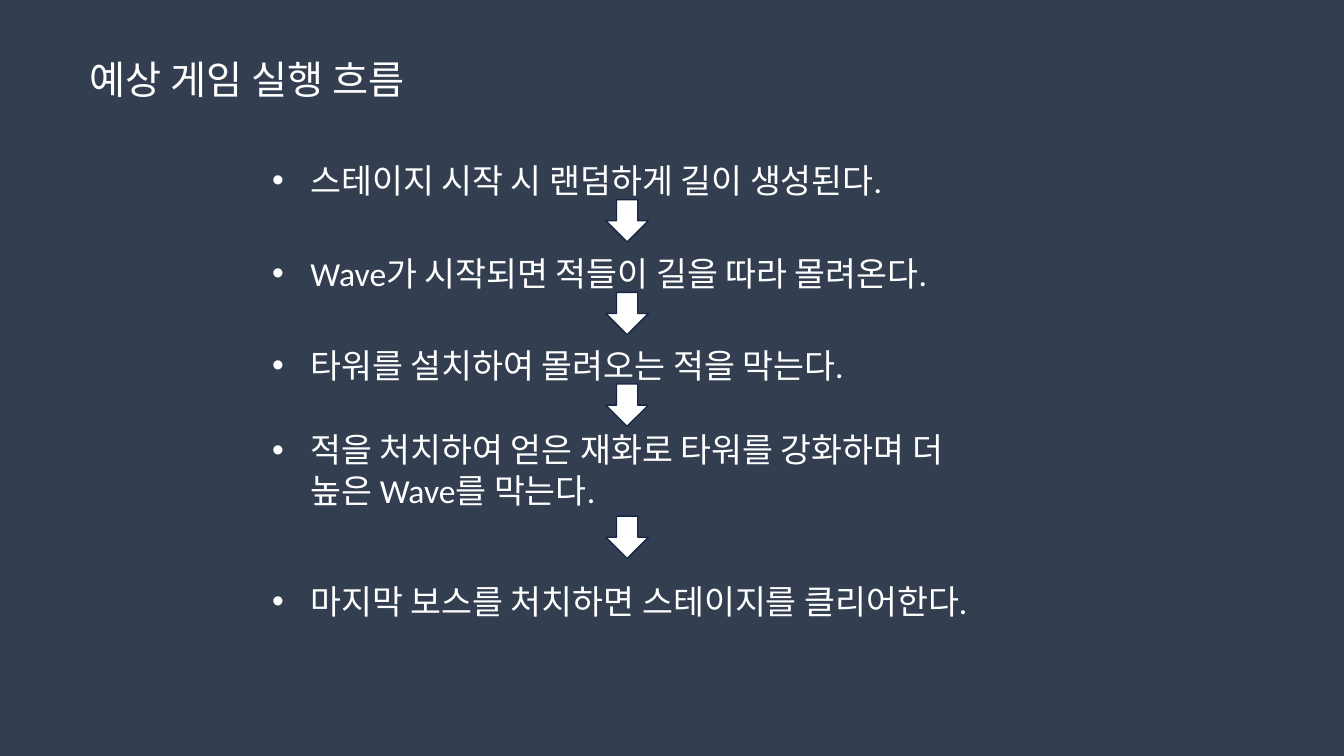
import lxml.etree
import pptx
import pptx.dml.color
import pptx.enum.shapes
import pptx.enum.text
import pptx.oxml.ns
import pptx.util

Inches = pptx.util.Inches
SHAPE = pptx.enum.shapes.MSO_SHAPE
qn = pptx.oxml.ns.qn
NAVY, WHITE, EDGE = "333F50", "FFFFFF", "182644"
KOREAN = "Noto Sans CJK KR"


def color(code):
    return pptx.dml.color.RGBColor.from_string(code)


def write(text, left, top, width, height, size=24, font="Calibri",
          wrap=True, bullet=False, spacing=1.0):
    box = slide.shapes.add_textbox(
        Inches(left), Inches(top), Inches(width), Inches(height))
    frame = box.text_frame
    frame.word_wrap = wrap
    frame.auto_size = pptx.enum.text.MSO_AUTO_SIZE.SHAPE_TO_FIT_TEXT
    para = frame.paragraphs[0]
    para.text = text
    para.line_spacing = spacing
    for run in para.runs:
        run.font.size = pptx.util.Pt(size)
        run.font.name = font
        run.font.color.rgb = color(WHITE)
        east = lxml.etree.SubElement(run.font._element, qn("a:ea"))
        east.set("typeface", KOREAN)
    if bullet:
        props = para._p.get_or_add_pPr()
        props.set("marL", str(Inches(0.38)))
        props.set("indent", str(Inches(-0.38)))
        face = lxml.etree.SubElement(props, qn("a:buFont"))
        face.set("typeface", "Arial")
        mark = lxml.etree.SubElement(props, qn("a:buChar"))
        mark.set("char", "•")


deck = pptx.Presentation()
deck.slide_width = Inches(13.33)
deck.slide_height = Inches(7.5)
slide = deck.slides.add_slide(deck.slide_layouts[6])

# Backdrop and title
back = slide.shapes.add_shape(
    SHAPE.RECTANGLE, 0, 0, deck.slide_width, deck.slide_height)
back.shadow.inherit = False
back.fill.solid()
back.fill.fore_color.rgb = color(NAVY)
back.line.fill.background()
write("예상 게임 실행 흐름", 0.79, 0.5, 3.61, 0.57,
      size=28, font=KOREAN, wrap=False)

# Steps of the game: text, top, height, line spacing
steps = [
    ("스테이지 시작 시 랜덤하게 길이 생성된다.", 1.34, 0.64, 1.5),
    ("Wave가 시작되면 적들이 길을 따라 몰려온다.", 2.26, 0.64, 1.5),
    ("타워를 설치하여 몰려오는 적을 막는다.", 3.17, 0.64, 1.5),
    ("적을 처치하여 얻은 재화로 타워를 강화하며 더\n높은 Wave를 막는다.",
     4.21, 0.91, 1.0),
    ("마지막 보스를 처치하면 스테이지를 클리어한다.", 5.51, 0.64, 1.5),
]
for text, top, height, spacing in steps:
    write(text, 2.6, top, 7.98, height, bullet=True, spacing=spacing)

# An arrow hangs under every step but the last
for text, top, height, spacing in steps[:-1]:
    arrow = slide.shapes.add_shape(
        SHAPE.DOWN_ARROW, Inches(6.01), Inches(top + height),
        Inches(0.42), Inches(0.42))
    arrow.shadow.inherit = False
    arrow.fill.solid()
    arrow.fill.fore_color.rgb = color(WHITE)
    arrow.line.color.rgb = color(EDGE)
    arrow.line.width = pptx.util.Pt(1)

deck.save("out.pptx")
